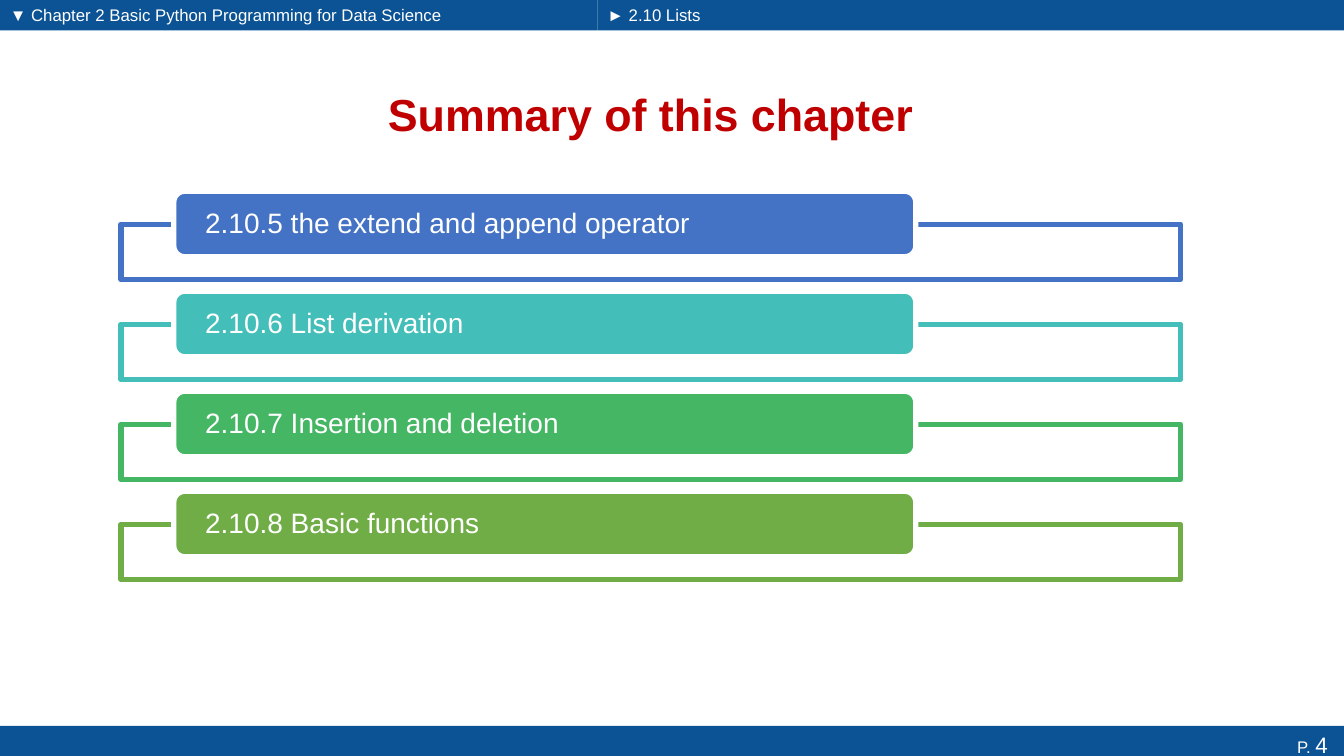
from dataclasses import dataclass

from pptx import Presentation
from pptx import util as u
from pptx.dml.color import RGBColor
from pptx.enum import shapes, text

COLOURS = {
    "bar": "0B5394", "white": "FFFFFF", "title": "C00000",
    "blue": "4472C4", "teal": "43BEB9", "green": "45B664", "olive": "70AD47",
}
FONT = "Arial"
PAGE_WIDTH, PAGE_HEIGHT = 33.87, 19.05
HEADER_SPLIT, HEADER_HEIGHT = 15.06, 0.77
FOOTER_TOP, FOOTER_HEIGHT = 18.29, 0.94
ROW_PITCH = 2.52
OUTLINE = 3.78


@dataclass
class Area:
    left: float
    top: float
    width: float
    height: float

    def lengths(self) -> tuple:
        return tuple(u.Cm(n) for n in (self.left, self.top, self.width, self.height))


@dataclass
class Crumb:
    label: str
    bar: Area
    text_width: float


@dataclass
class Section:
    label: str
    colour: str


CRUMBS = [
    Crumb("▼ Chapter 2 Basic Python Programming for Data Science",
          Area(0, 0, HEADER_SPLIT, HEADER_HEIGHT), 12.27),
    Crumb("► 2.10 Lists",
          Area(HEADER_SPLIT, 0, PAGE_WIDTH - HEADER_SPLIT, HEADER_HEIGHT), 6.53),
]
SECTIONS = [
    Section("2.10.5 the extend and append operator", "blue"),
    Section("2.10.6 List derivation", "teal"),
    Section("2.10.7 Insertion and deletion", "green"),
    Section("2.10.8 Basic functions", "olive"),
]


def rgb(name: str) -> RGBColor:
    return RGBColor.from_string(COLOURS[name])


def style(span, size: float, colour: str = "white", bold: bool = False) -> None:
    span.font.name = FONT
    span.font.size = u.Pt(size)
    span.font.bold = bold
    span.font.color.rgb = rgb(colour)


def add_block(page, kind, area: Area, fill: str, line: str = ""):
    block = page.shapes.add_shape(kind, *area.lengths())
    block.shadow.inherit = False
    block.fill.solid()
    block.fill.fore_color.rgb = rgb(fill)
    if line:
        block.line.color.rgb = rgb(line)
        block.line.width = u.Pt(OUTLINE)
    else:
        block.line.fill.background()
    return block


def add_crumb(page, crumb: Crumb) -> None:
    add_block(page, shapes.MSO_SHAPE.RECTANGLE, crumb.bar, "bar")
    area = Area(crumb.bar.left, 0, crumb.text_width, crumb.bar.height)
    box = page.shapes.add_textbox(*area.lengths())
    box.text_frame.word_wrap = True
    box.text_frame.text = crumb.label
    style(box.text_frame.paragraphs[0].runs[0], 12)


def add_footer(page) -> None:
    area = Area(0, FOOTER_TOP, PAGE_WIDTH, FOOTER_HEIGHT)
    bar = add_block(page, shapes.MSO_SHAPE.RECTANGLE, area, "bar")
    bar.text_frame.vertical_anchor = text.MSO_ANCHOR.TOP
    para = bar.text_frame.paragraphs[0]
    para.alignment = text.PP_ALIGN.RIGHT
    for words, size in (("P. ", 12), ("4 ", 16)):
        span = para.add_run()
        span.text = words
        style(span, size)


def add_title(page, words: str) -> None:
    title = page.shapes.title
    title.left, title.top, title.width, title.height = Area(6.38, 1.73, 20.04, 2.29).lengths()
    title.text_frame.vertical_anchor = text.MSO_ANCHOR.MIDDLE
    title.text_frame.text = words
    para = title.text_frame.paragraphs[0]
    para.alignment = text.PP_ALIGN.CENTER
    style(para.runs[0], 32, "title", bold=True)


def add_section(page, section: Section, offset: float) -> None:
    # Open frame behind the tab
    add_block(page, shapes.MSO_SHAPE.RECTANGLE, Area(3.05, 5.65 + offset, 26.7, 1.4),
              "white", section.colour)
    # Coloured tab with its label
    tab = add_block(page, shapes.MSO_SHAPE.ROUNDED_RECTANGLE,
                    Area(4.38, 4.82 + offset, 18.7, 1.65), section.colour, "white")
    frame = tab.text_frame
    frame.word_wrap = True
    frame.vertical_anchor = text.MSO_ANCHOR.MIDDLE
    frame.margin_left = frame.margin_right = u.Cm(0.71)
    frame.margin_top = frame.margin_bottom = 0
    frame.text = section.label
    para = frame.paragraphs[0]
    para.alignment = text.PP_ALIGN.LEFT
    para.line_spacing = 0.9
    style(para.runs[0], 20)


def main() -> None:
    deck = Presentation()
    deck.slide_width, deck.slide_height = u.Cm(PAGE_WIDTH), u.Cm(PAGE_HEIGHT)
    page = deck.slides.add_slide(deck.slide_layouts.get_by_name("Title Only"))

    # Header, footer and title
    for crumb in CRUMBS:
        add_crumb(page, crumb)
    add_footer(page)
    add_title(page, "Summary of this chapter")

    # Chapter sections, evenly stacked
    for row, section in enumerate(SECTIONS):
        add_section(page, section, row * ROW_PITCH)

    deck.save("out.pptx")


if __name__ == "__main__":
    main()
